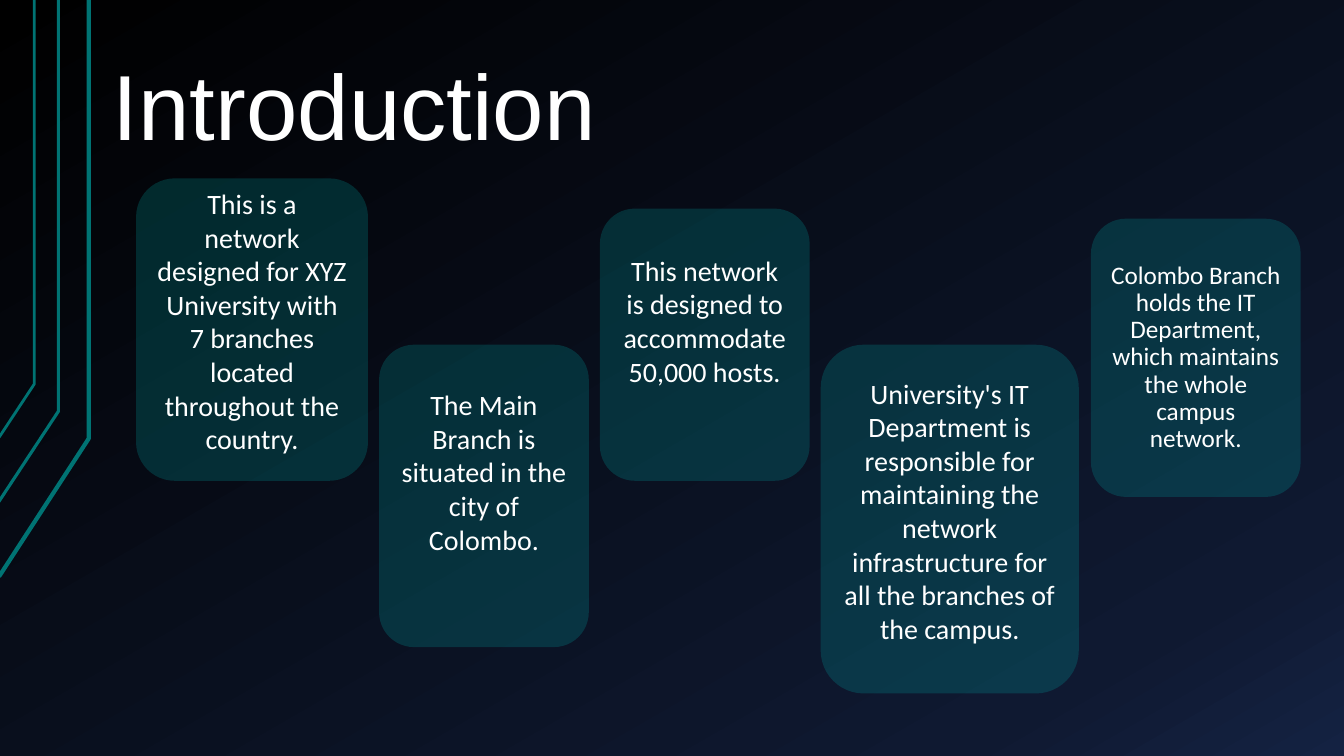
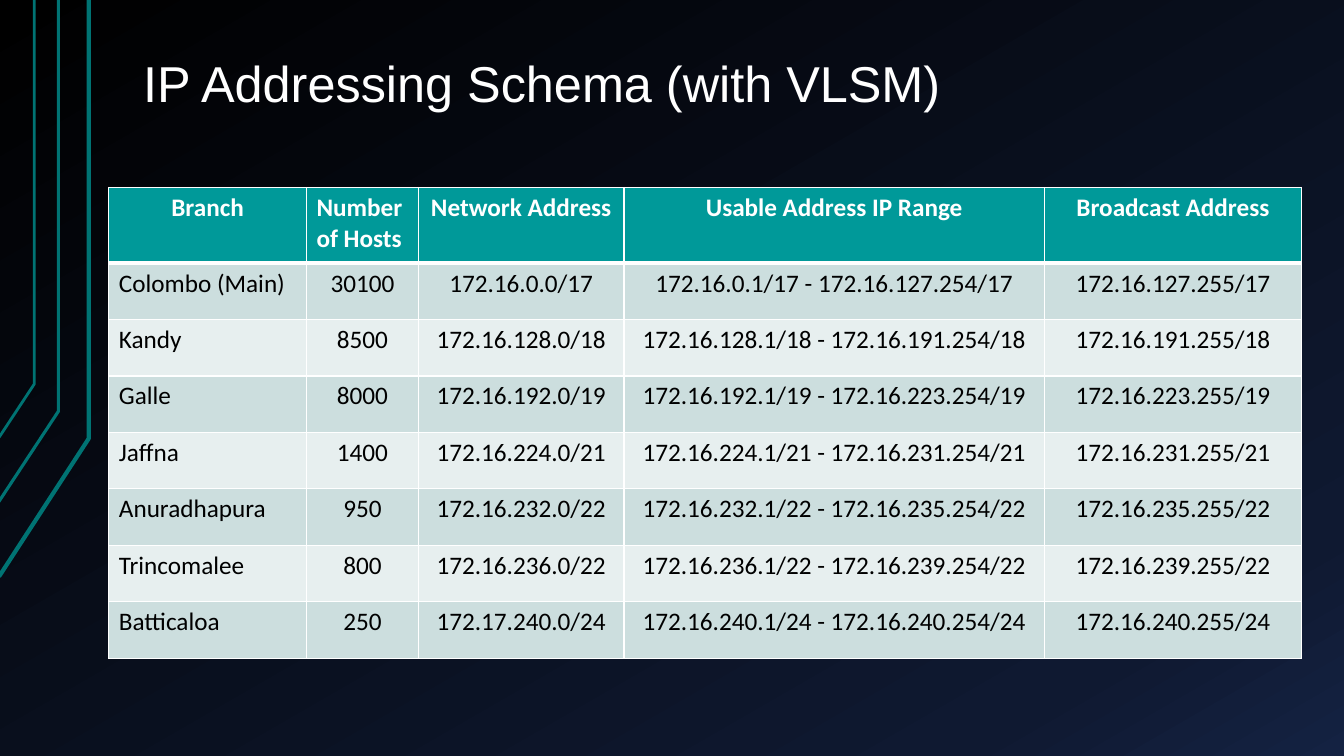
from lxml import etree
from pptx import Presentation
from pptx.dml.color import RGBColor
from pptx.enum.shapes import MSO_SHAPE as Preset
from pptx.enum.text import MSO_ANCHOR as Anchor, MSO_AUTO_SIZE as AutoSize, PP_ALIGN as Align
from pptx.oxml.ns import qn
from pptx.util import Emu, Pt

PX = 9144
TITLE_ONLY = 5
TITLE_FONT, BODY_FONT = "Arial", "Calibri"
WHITE, BLACK = "FFFFFF", "000000"
TEAL, DARK_TEAL = "009999", "007373"
BAND_FILLS = ("CCDEDE", "E7EFEF")
BACKGROUND_STOPS = ((0, BLACK), (85, "0F1931"), (100, "142242"))
CIRCUIT_LINES = (
    (3, [(-1, 572), (88, 435), (88, 0)]),
    (2.25, [(-2, 499), (58, 408), (58, 0)]),
    (2, [(-1, 434), (34, 381), (34, 0)]),
)

CARDS = (
    ("This is a network designed for XYZ University with 7 branches located throughout the country.",
     (135, 177, 230, 300), {"bottom": 22}),
    ("The Main Branch is situated in the city of Colombo.",
     (376, 342, 208, 300), {"bottom": 53}),
    ("This network is designed to accommodate 50,000 hosts.",
     (595, 207, 208, 270), {"bottom": 53}),
    ("University's IT Department is responsible for maintaining the network infrastructure "
     "for all the branches of the campus.",
     (814, 342, 256, 346), {"bottom": 22}),
    ("Colombo Branch holds the IT Department, which maintains the whole campus network.",
     (1082, 217, 208, 276), {"size": 18, "spacing": 0.9}),
)

COLUMN_WIDTHS = (196, 111, 204, 417, 255)
HEADER_HEIGHT, ROW_HEIGHT = 75, 56
HEADINGS = ("Branch", "Number of Hosts", "Network Address", "Usable Address IP Range", "Broadcast Address")
HEADING_ALIGNS = (Align.CENTER, Align.LEFT) + (Align.CENTER,) * 3
BODY_ALIGNS = (Align.LEFT,) + (Align.CENTER,) * 4
BRANCHES = (
    ("Colombo (Main)", "30100", "172.16.0.0/17", "172.16.0.1/17 - 172.16.127.254/17", "172.16.127.255/17"),
    ("Kandy", "8500", "172.16.128.0/18", "172.16.128.1/18 - 172.16.191.254/18", "172.16.191.255/18"),
    ("Galle", "8000", "172.16.192.0/19", "172.16.192.1/19 - 172.16.223.254/19", "172.16.223.255/19"),
    ("Jaffna", "1400", "172.16.224.0/21", "172.16.224.1/21 - 172.16.231.254/21", "172.16.231.255/21"),
    ("Anuradhapura", "950", "172.16.232.0/22", "172.16.232.1/22 - 172.16.235.254/22", "172.16.235.255/22"),
    ("Trincomalee", "800", "172.16.236.0/22", "172.16.236.1/22 - 172.16.239.254/22", "172.16.239.255/22"),
    ("Batticaloa", "250", "172.17.240.0/24", "172.16.240.1/24 - 172.16.240.254/24", "172.16.240.255/24"),
)


def px(length):
    """Turn whole pixels into EMU."""
    return Emu(length * PX)


def rgb(value):
    """Turn a hex string into a colour."""
    return RGBColor.from_string(value)


def write(frame, text, font=BODY_FONT, size=18, color=WHITE, bold=False, align=Align.LEFT, spacing=None):
    """Put one formatted paragraph into a text frame."""
    paragraph = frame.paragraphs[0]
    paragraph.alignment = align
    if spacing:
        paragraph.line_spacing = spacing
    run = paragraph.add_run()
    run.text = text
    run.font.name, run.font.size, run.font.bold = font, Pt(size), bold
    run.font.color.rgb = rgb(color)


def set_background(master):
    """Give the master its dark diagonal gradient."""
    fill = master.background.fill
    fill.gradient()
    fill.gradient_angle = 300
    stops = master.element.find(".//" + qn("a:gsLst"))
    for stop in list(stops):
        stops.remove(stop)
    for position, color in BACKGROUND_STOPS:
        stop = etree.SubElement(stops, qn("a:gs"), pos=str(position * 1000))
        etree.SubElement(stop, qn("a:srgbClr"), val=color)


def add_circuit_lines(master, slide):
    """Draw the bent lines and move them to the master."""
    tree = master.element.cSld.spTree
    for number, (width, points) in enumerate(CIRCUIT_LINES):
        builder = slide.shapes.build_freeform(*points[0], scale=PX)
        builder.add_line_segments(points[1:], close=False)
        shape = builder.convert_to_shape()
        shape.shadow.inherit = False
        shape.fill.background()
        shape.line.color.rgb = rgb(DARK_TEAL)
        shape.line.width = Pt(width)
        shape.element.nvSpPr.cNvPr.set("id", str(100 + number))
        tree.insert(2 + number, shape.element)


def add_slide(presentation, title, box, size):
    """Add a slide with a formatted title."""
    slide = presentation.slides.add_slide(presentation.slide_layouts[TITLE_ONLY])
    shape = slide.shapes.title
    shape.left, shape.top, shape.width, shape.height = map(px, box)
    frame = shape.text_frame
    frame.auto_size = AutoSize.NONE
    frame.vertical_anchor = Anchor.BOTTOM
    frame.margin_left = frame.margin_right = px(13)
    frame.margin_top = frame.margin_bottom = px(7)
    write(frame, title, font=TITLE_FONT, size=size, spacing=0.9)
    return slide


def add_card(slide, text, box, size=20, bottom=5, spacing=None):
    """Add a translucent rounded card with centred text."""
    shape = slide.shapes.add_shape(Preset.ROUNDED_RECTANGLE, *map(px, box))
    shape.shadow.inherit = False
    shape.line.fill.background()
    shape.fill.solid()
    shape.fill.fore_color.rgb = rgb(TEAL)
    color = shape.element.spPr.find(qn("a:solidFill")).find(qn("a:srgbClr"))
    etree.SubElement(color, qn("a:alpha"), val="25000")
    frame = shape.text_frame
    frame.word_wrap = True
    frame.vertical_anchor = Anchor.MIDDLE
    frame.margin_bottom = px(bottom)
    write(frame, text, size=size, align=Align.CENTER, spacing=spacing)


def set_borders(cell, top=1, bottom=1):
    """Draw white borders around a cell."""
    properties = cell._tc.get_or_add_tcPr()
    for index, (side, width) in enumerate((("L", 1), ("R", 1), ("T", top), ("B", bottom))):
        line = etree.Element(qn(f"a:ln{side}"), w=str(Pt(width)))
        fill = etree.SubElement(line, qn("a:solidFill"))
        etree.SubElement(fill, qn("a:srgbClr"), val=WHITE)
        properties.insert(index, line)


def add_address_table(slide, left, top):
    """Add the table of branch addresses."""
    rows = (HEADINGS,) + BRANCHES
    height = HEADER_HEIGHT + ROW_HEIGHT * len(BRANCHES)
    table = slide.shapes.add_table(len(rows), len(HEADINGS), px(left), px(top),
                                   px(sum(COLUMN_WIDTHS)), px(height)).table
    for column, width in zip(table.columns, COLUMN_WIDTHS):
        column.width = px(width)
    for row_index, values in enumerate(rows):
        header = row_index == 0
        table.rows[row_index].height = px(HEADER_HEIGHT if header else ROW_HEIGHT)
        aligns = HEADING_ALIGNS if header else BODY_ALIGNS
        for column_index, (value, align) in enumerate(zip(values, aligns)):
            cell = table.cell(row_index, column_index)
            cell.fill.solid()
            cell.fill.fore_color.rgb = rgb(TEAL if header else BAND_FILLS[(row_index - 1) % 2])
            set_borders(cell, top=3 if row_index == 1 else 1, bottom=3 if header else 1)
            write(cell.text_frame, value, color=WHITE if header else BLACK, bold=header, align=align)


def main():
    """Build and save the presentation."""
    presentation = Presentation()
    presentation.slide_width, presentation.slide_height = px(1333), px(750)
    master = presentation.slide_master
    set_background(master)

    introduction = add_slide(presentation, "Introduction", (99, 13, 949, 153), 66)
    add_circuit_lines(master, introduction)
    for text, box, options in CARDS:
        add_card(introduction, text, box, **options)

    addressing = add_slide(presentation, "IP Addressing Schema (with VLSM)", (129, 25, 1133, 95), 36)
    add_address_table(addressing, 108, 186)
    presentation.save("out.pptx")


if __name__ == "__main__":
    main()
